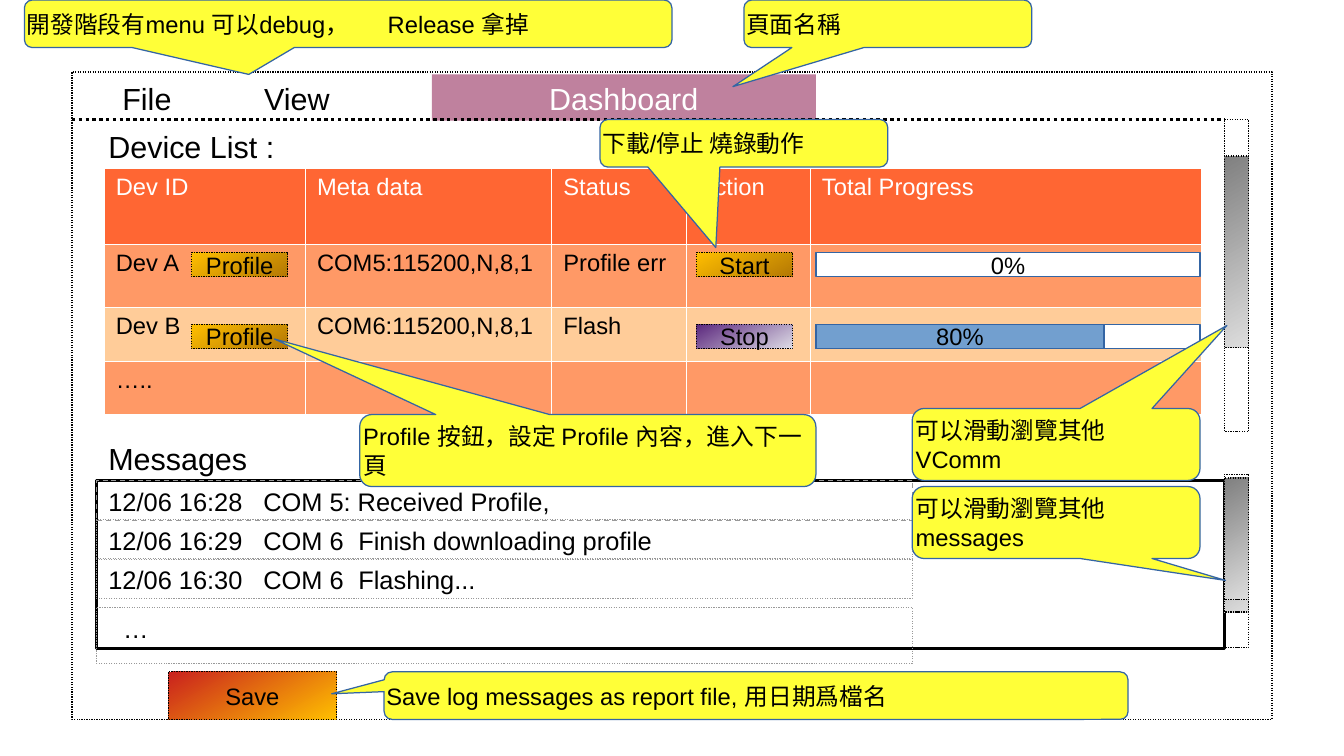
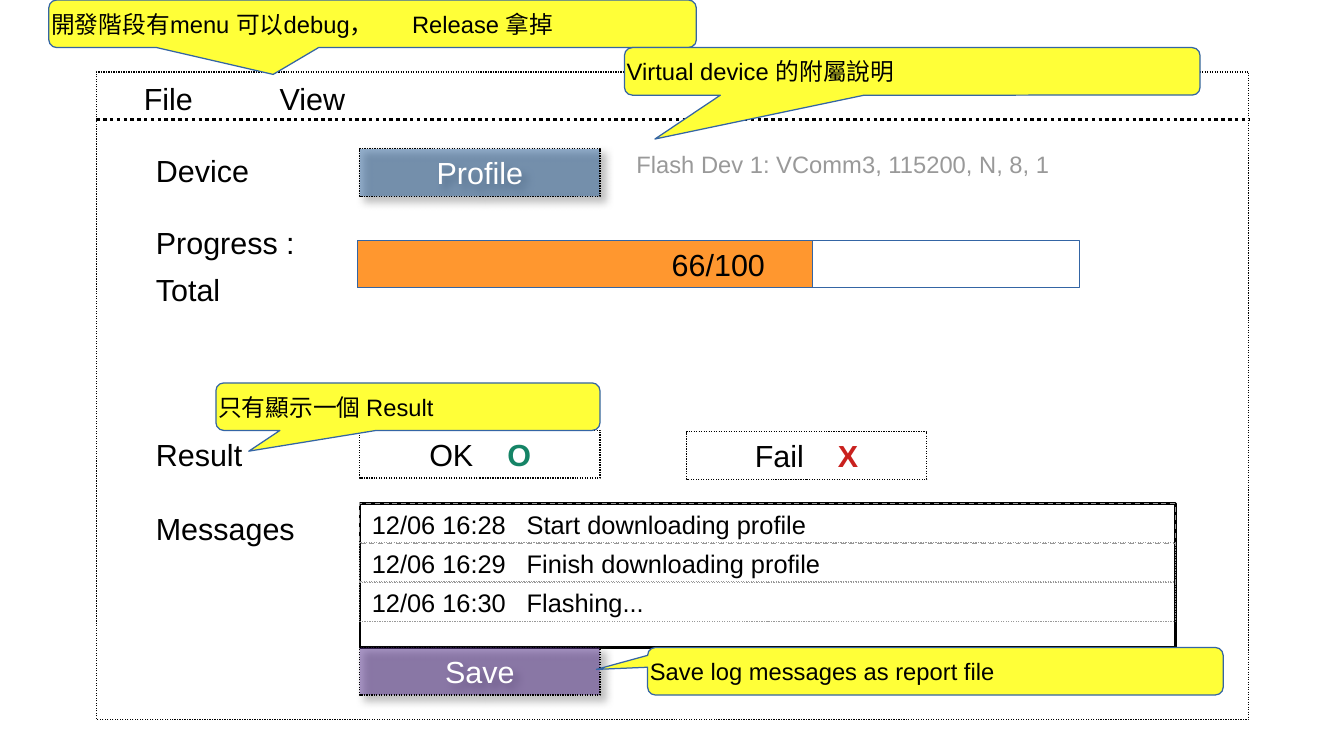
import lxml.etree
import pptx
import pptx.dml.color
import pptx.enum.dml
import pptx.enum.shapes
import pptx.enum.text
import pptx.oxml.ns
import pptx.util

RGBColor = pptx.dml.color.RGBColor
Inches = pptx.util.Inches
Pt = pptx.util.Pt
qn = pptx.oxml.ns.qn
SHAPE = pptx.enum.shapes.MSO_SHAPE
ALIGN = pptx.enum.text.PP_ALIGN
ANCHOR = pptx.enum.text.MSO_ANCHOR
DASH = pptx.enum.dml.MSO_LINE

BLACK = RGBColor(0x00, 0x00, 0x00)
WHITE = RGBColor(0xFF, 0xFF, 0xFF)
GRAY = RGBColor(0x99, 0x99, 0x99)
SHADOW_GRAY = RGBColor(0x80, 0x80, 0x80)
NOTE_YELLOW = RGBColor(0xFF, 0xFF, 0x38)
EDGE_BLUE = RGBColor(0x34, 0x65, 0xA4)
TITLE_MAUVE = RGBColor(0xBF, 0x81, 0x9E)
HEADER_ORANGE = RGBColor(0xFF, 0x66, 0x33)
ROW_DARK = RGBColor(0xFF, 0x99, 0x66)
ROW_LIGHT = RGBColor(0xFF, 0xCC, 0x99)
BAR_BLUE = RGBColor(0x72, 0x9F, 0xCF)
BAR_ORANGE = RGBColor(0xFF, 0x97, 0x2F)
BUTTON_BLUE = RGBColor(0x2A, 0x60, 0x99)
BUTTON_PURPLE = RGBColor(0x55, 0x30, 0x8D)
OK_GREEN = RGBColor(0x15, 0x84, 0x66)
FAIL_RED = RGBColor(0xC9, 0x21, 0x1E)
GOLD = RGBColor(0xFF, 0xBF, 0x00)
AMBER = (GOLD, RGBColor(0xB4, 0x78, 0x04))
VIOLET = (RGBColor(0x5B, 0x27, 0x7D), RGBColor(0xDE, 0xDC, 0xE6))
STEEL = (SHADOW_GRAY, RGBColor(0xDD, 0xDD, 0xDD))
SUNSET = (FAIL_RED, GOLD)

FONT = "Arial"
INSETS = (0.1, 0.05, 0.1, 0.05)
NO_INSETS = (0, 0, 0, 0)
ROW_PITCH = 0.32
MENU_NOTE = "開發階段有menu 可以debug，\tRelease 拿掉"
TABLE_COLUMNS = (1.65, 2.02, 1.11, 1.01, 3.21)
TABLE_ROWS = (0.62, 0.52, 0.44, 0.44)
DEVICES = (
    ("Dev ID", "Meta data", "Status", "Action", "Total Progress"),
    ("Dev A", "COM5:115200,N,8,1", "Profile err", "", ""),
    ("Dev B", "COM6:115200,N,8,1", "Flash", "", ""),
    ("…..", "", "", "", ""),
)


def place(item, area):
    item.left, item.top, item.width, item.height = map(Inches, area)


def style_runs(paragraph, size, color):
    for run in paragraph.runs:
        run.font.name = FONT
        run.font.size = Pt(size)
        run.font.color.rgb = color


def write(shape, text, size=18, color=BLACK, align=ALIGN.LEFT,
          anchor=ANCHOR.TOP, insets=INSETS, tabs=()):
    frame = shape.text_frame
    frame.word_wrap = True
    frame.vertical_anchor = anchor
    (frame.margin_left, frame.margin_top,
     frame.margin_right, frame.margin_bottom) = map(Inches, insets)
    frame.text = text
    paragraph = frame.paragraphs[0]
    paragraph.alignment = align
    style_runs(paragraph, size, color)
    if tabs:
        properties = paragraph._p.get_or_add_pPr()
        stops = lxml.etree.SubElement(properties, qn("a:tabLst"))
        for stop in tabs:
            lxml.etree.SubElement(stops, qn("a:tab"),
                                  pos=str(Inches(stop)), algn="l")


def add_label(slide, area, text, **style):
    label = slide.shapes.add_textbox(*map(Inches, area))
    write(label, text, **style)


def add_box(slide, area, fill=None, edge=BLACK, width=0,
            dash=DASH.ROUND_DOT, kind=SHAPE.RECTANGLE):
    """Add an outlined shape; fill is None, a colour or a pair for a gradient."""
    box = slide.shapes.add_shape(kind, *map(Inches, area))
    box.shadow.inherit = False
    box.line.color.rgb = edge
    box.line.width = Pt(width)
    box.line.dash_style = dash
    if fill is None:
        box.fill.background()
    elif isinstance(fill, RGBColor):
        box.fill.solid()
        box.fill.fore_color.rgb = fill
    else:
        box.fill.gradient()
        box.fill.gradient_angle = 300
        for stop, color in zip(box.fill.gradient_stops, fill):
            stop.color.rgb = color
    return box


def add_button(slide, area, text, fill, size=14, color=BLACK):
    button = add_box(slide, area, fill)
    write(button, text, size, color, ALIGN.CENTER, ANCHOR.MIDDLE)
    return button


def add_raised_button(slide, area, text, fill):
    """Add a half-transparent button that casts a shadow."""
    properties = add_button(slide, area, text, fill, 18, WHITE)._element.spPr
    tint = properties.find(qn("a:solidFill")).find(qn("a:srgbClr"))
    lxml.etree.SubElement(tint, qn("a:alpha"), val="50000")
    shadow = lxml.etree.SubElement(
        properties.find(qn("a:effectLst")), qn("a:outerShdw"),
        blurRad=str(Pt(5)), dist=str(Pt(4.2)), dir="2700000",
        algn="tl", rotWithShape="0")
    lxml.etree.SubElement(shadow, qn("a:srgbClr"), val=str(SHADOW_GRAY))


def add_callout(slide, area, tip, text, tabs=()):
    """Add a yellow note whose tail ends at tip, a point on the slide."""
    left, top, width, height = area
    note = add_box(slide, area, NOTE_YELLOW, EDGE_BLUE, dash=DASH.SOLID,
                   kind=SHAPE.ROUNDED_RECTANGULAR_CALLOUT)
    note.adjustments[0] = (tip[0] - left) / width - 0.5
    note.adjustments[1] = (tip[1] - top) / height - 0.5
    write(note, text, 14, anchor=ANCHOR.MIDDLE, insets=NO_INSETS, tabs=tabs)


def add_window(slide, area, rule_end):
    """Add the window frame with its menu and the rule below it."""
    left, top, width, _ = area
    add_box(slide, area)
    entry_width = width / 8
    for index, entry in enumerate(("File", "View")):
        add_label(slide, (left + index * entry_width, top + 0.02, entry_width, 0.38),
                  entry, align=ALIGN.CENTER)
    rule_y = Inches(top + 0.39)
    rule = slide.shapes.add_connector(pptx.enum.shapes.MSO_CONNECTOR.STRAIGHT,
                                      Inches(left), rule_y, Inches(rule_end), rule_y)
    rule.line.color.rgb = BLACK
    rule.line.width = Pt(0)
    rule.line.dash_style = DASH.ROUND_DOT
    lxml.etree.SubElement(rule._element.spPr, qn("a:effectLst"))


def add_menu_note(slide, window):
    left, top = window[:2]
    add_callout(slide, (left - 0.39, 0, 5.31, 0.39), (left + 1.45, top + 0.02),
                MENU_NOTE, tabs=(2.96,))


def add_messages(slide, area, messages, tabs, row_width):
    left, top = area[:2]
    add_box(slide, area, width=1.5, dash=DASH.SOLID)
    for index, message in enumerate(messages):
        row = add_box(slide, (left, top + index * ROW_PITCH, row_width, 0.33),
                      edge=GRAY, dash=DASH.ROUND_DOT if index else DASH.DASH)
        write(row, message, 15, tabs=tabs)


def add_progress(slide, area, share, text, fill, size, over_done=False):
    """Add a bar; the text is centred on the done part or on the whole bar."""
    left, top, width, height = area
    done = (left, top, width * share, height)
    add_box(slide, area, WHITE, EDGE_BLUE, dash=DASH.SOLID)
    if share:
        add_box(slide, done, fill, EDGE_BLUE, dash=DASH.SOLID)
    add_label(slide, done if over_done else area, text, size=size,
              align=ALIGN.CENTER, anchor=ANCHOR.MIDDLE, insets=NO_INSETS)


def add_scrollbar(slide, area, thumb_offsets, thumb_height):
    left, top, width, _ = area
    add_box(slide, area)
    for offset in thumb_offsets:
        add_box(slide, (left, top + offset, width, thumb_height), STEEL)


def border_cell(cell):
    properties = cell._tc.get_or_add_tcPr()
    for index, side in enumerate(("a:lnL", "a:lnR", "a:lnT", "a:lnB")):
        border = lxml.etree.Element(qn(side), w=str(Pt(0.06)))
        paint = lxml.etree.SubElement(border, qn("a:solidFill"))
        lxml.etree.SubElement(paint, qn("a:srgbClr"), val=str(WHITE))
        properties.insert(index, border)


def add_device_table(slide, left, top):
    """Add the table of devices with its buttons and progress bars."""
    table = slide.shapes.add_table(
        len(TABLE_ROWS), len(TABLE_COLUMNS), Inches(left), Inches(top),
        Inches(sum(TABLE_COLUMNS)), Inches(sum(TABLE_ROWS))).table
    table.first_row = table.horz_banding = False
    for column, width in zip(table.columns, TABLE_COLUMNS):
        column.width = Inches(width)
    fills = (HEADER_ORANGE, ROW_DARK, ROW_LIGHT, ROW_DARK)
    for r, (height, fill, texts) in enumerate(zip(TABLE_ROWS, fills, DEVICES)):
        table.rows[r].height = Inches(height)
        for c, text in enumerate(texts):
            cell = table.cell(r, c)
            cell.text = text
            style_runs(cell.text_frame.paragraphs[0], 14, BLACK if r else WHITE)
            cell.fill.solid()
            cell.fill.fore_color.rgb = fill
            border_cell(cell)
    controls = ((0.69, "Start", AMBER, 0, "0%"), (1.28, "Stop", VIOLET, 0.75, "80%"))
    for offset, action, fill, share, progress in controls:
        y = top + offset
        add_button(slide, (left + 0.72, y, 0.79, 0.2), "Profile", AMBER)
        add_button(slide, (left + 4.86, y, 0.79, 0.2), action, fill)
        add_progress(slide, (left + 5.84, y, 3.15, 0.2), share, progress,
                     BAR_BLUE, 14, over_done=share > 0)


def add_result(slide, area, text, mark_color, inset, tab):
    """Add a result box whose last letter is a coloured bold mark."""
    result = add_box(slide, area)
    write(result, text[:-1], anchor=ANCHOR.MIDDLE,
          insets=(inset, 0.05, 0, 0.05), tabs=(tab,))
    mark = result.text_frame.paragraphs[0].add_run()
    mark.text = text[-1]
    mark.font.name = FONT
    mark.font.size = Pt(18)
    mark.font.bold = True
    mark.font.color.rgb = mark_color


def build_dashboard(deck):
    slide = deck.slides.add_slide(deck.slide_layouts[5])
    window = (0.59, 0.59, 9.84, 5.31)
    add_window(slide, window, 10.04)
    title = slide.shapes.title
    place(title, (3.54, 0.61, 3.15, 0.38))
    title.fill.solid()
    title.fill.fore_color.rgb = TITLE_MAUVE
    write(title, "Dashboard", color=WHITE, align=ALIGN.CENTER)
    title.text_frame.auto_size = pptx.enum.text.MSO_AUTO_SIZE.NONE

    add_label(slide, (0.79, 1, 1.97, 0.38), "Device List :")
    add_device_table(slide, 0.85, 1.38)
    add_label(slide, (0.79, 3.56, 1.57, 0.38), "Messages")
    add_messages(slide, (0.79, 3.94, 9.25, 1.38), (
        "12/06 16:28\tCOM 5: Received Profile,",
        "12/06 16:29\tCOM 6\tFinish downloading profile",
        "12/06 16:30\tCOM 6\tFlashing..."), (1.27, 2.05), 6.69)
    more = add_box(slide, (0.79, 4.98, 6.69, 0.46), edge=GRAY)
    write(more, "…", 15, insets=(0.22, 0.05, 0.1, 0.05))
    add_scrollbar(slide, (10.04, 0.98, 0.2, 2.56), (0.3,), 1.57)
    add_scrollbar(slide, (10.04, 3.89, 0.2, 1.42), (0.13, 0.03), 1)
    add_button(slide, (1.38, 5.51, 1.38, 0.39), "Save", SUNSET)

    add_menu_note(slide, window)
    for area, tip, text in (
            ((6.1, 0, 2.36, 0.39), (6.01, 0.71), "頁面名稱"),
            ((4.92, 0.98, 2.36, 0.39), (5.87, 2.03), "下載/停止 燒錄動作"),
            ((2.95, 3.4, 3.74, 0.59), (2.25, 2.78),
             "Profile 按鈕，設定 Profile 內容，進入下一頁"),
            ((7.48, 3.35, 2.36, 0.59), (10.06, 2.67), "可以滑動瀏覽其他 VComm"),
            ((7.48, 3.99, 2.36, 0.59), (10.05, 4.76), "可以滑動瀏覽其他 messages"),
            ((3.15, 5.51, 6.1, 0.39), (2.72, 5.69),
             "Save log messages as report file, 用日期爲檔名")):
        add_callout(slide, area, tip, text)


def build_profile_page(deck):
    slide = deck.slides.add_slide(deck.slide_layouts[6])
    window = (0.79, 0.59, 9.45, 5.31)
    add_window(slide, window, 10.24)
    for y, text in ((1.2, "Device"), (1.79, "Progress :"), (2.17, "Total"),
                    (3.53, "Result"), (4.13, "Messages")):
        add_label(slide, (1.18, y, 1.57, 0.38), text)
    add_raised_button(slide, (2.95, 1.22, 1.97, 0.39), "Profile", BUTTON_BLUE)
    add_label(slide, (5.12, 1.18, 4.33, 0.38),
              "Flash Dev 1: VComm3, 115200, N, 8, 1", size=14, color=GRAY)
    add_progress(slide, (2.93, 1.97, 5.92, 0.39), 0.63, "66/100", BAR_ORANGE, 18)
    add_result(slide, (2.95, 3.53, 1.97, 0.39), "OK\tO", OK_GREEN, 0.57, 0.64)
    add_result(slide, (5.63, 3.54, 1.97, 0.39), "Fail\tX", FAIL_RED, 0.56, 0.68)
    add_messages(slide, (2.95, 4.13, 6.69, 1.18), (
        "12/06 16:28\tStart downloading profile",
        "12/06 16:29\tFinish downloading profile",
        "12/06 16:30\tFlashing..."), (1.27,), 6.69)
    add_raised_button(slide, (2.95, 5.31, 1.97, 0.39), "Save", BUTTON_PURPLE)

    add_menu_note(slide, window)
    for area, tip, text in (
            ((5.12, 0.39, 4.72, 0.39), (5.37, 1.14), "Virtual device 的附屬說明"),
            ((1.77, 3.14, 3.15, 0.39), (2.04, 3.7), "只有顯示一個 Result"),
            ((5.31, 5.31, 4.72, 0.39), (4.89, 5.49),
             "Save log messages as report file")):
        add_callout(slide, area, tip, text)


def main():
    deck = pptx.Presentation()
    deck.slide_width, deck.slide_height = Inches(11.02), Inches(6.2)
    build_dashboard(deck)
    build_profile_page(deck)
    deck.save("out.pptx")


if __name__ == "__main__":
    main()
